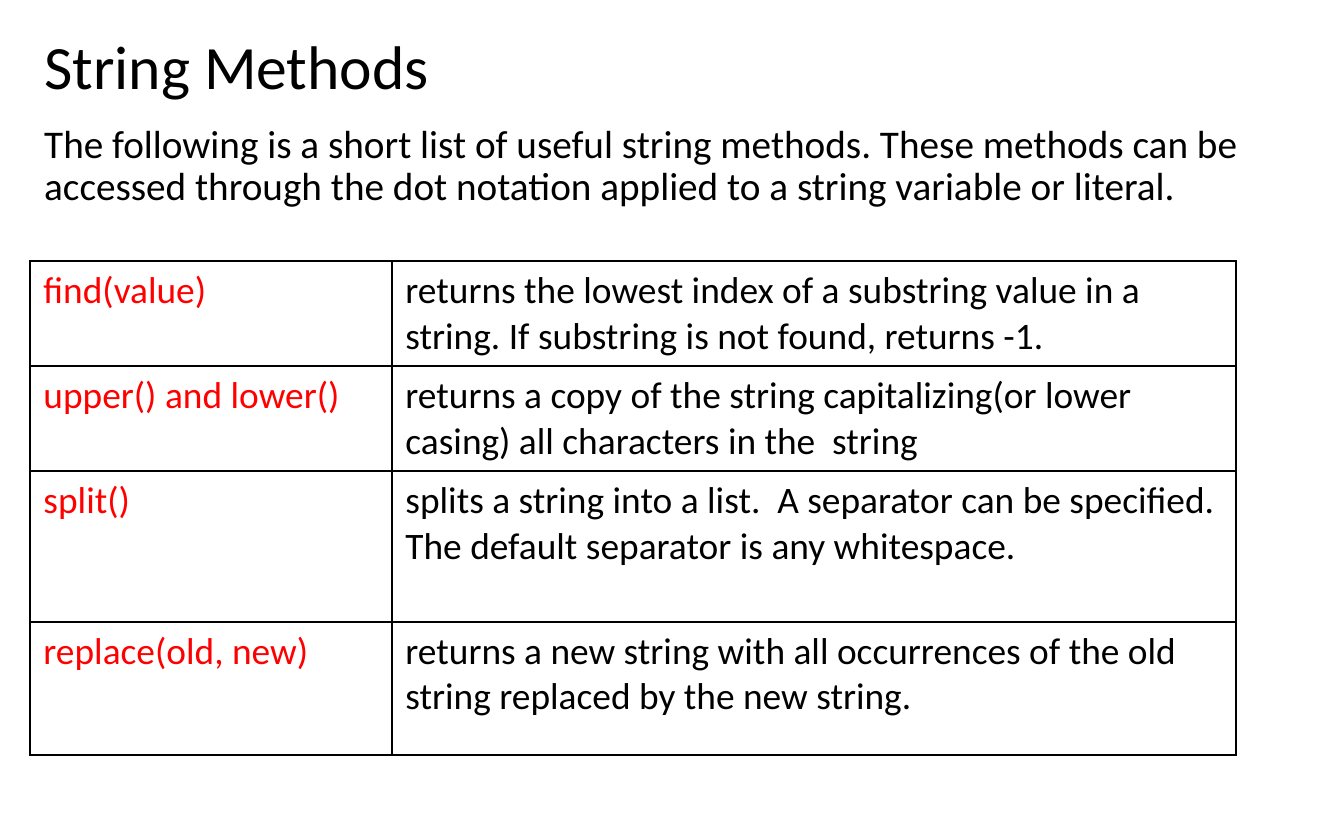
from lxml import etree
from pptx import Presentation
from pptx import util as u
from pptx.dml.color import RGBColor
from pptx.enum import text
from pptx.oxml import ns

PX = 914400 / 134.4
BLACK = RGBColor(0x00, 0x00, 0x00)
RED = RGBColor(0xFF, 0x00, 0x00)
FONT = "Calibri"

METHODS = [
    ("find(value)",
     "returns the lowest index of a substring value in a string. "
     "If substring is not found, returns -1."),
    ("upper() and lower()",
     "returns a copy of the string capitalizing(or lower casing) "
     "all characters in the  string"),
    ("split()",
     "splits a string into a list.  A separator can be specified. "
     "The default separator is any whitespace."),
    ("replace(old, new)",
     "returns a new string with all occurrences of the old string "
     "replaced by the new string."),
]


def px(length):
    return u.Emu(round(length * PX))


class SlideBuilder:
    def __init__(self, deck):
        self.slide = deck.slides.add_slide(deck.slide_layouts[5])

    def set_text(self, frame, content, size, color=BLACK, spacing=1.0):
        frame.text = content
        frame.word_wrap = True
        para = frame.paragraphs[0]
        para.alignment = text.PP_ALIGN.LEFT
        para.line_spacing = spacing
        font = para.runs[0].font
        font.name, font.size = FONT, u.Pt(size)
        font.color.rgb = color

    def title(self, content, left, top, width, height):
        box = self.slide.shapes.title
        box.left, box.top, box.width, box.height = map(px, (left, top, width, height))
        self.set_text(box.text_frame, content, 33, spacing=0.9)
        box.text_frame.auto_size = text.MSO_AUTO_SIZE.NONE
        box.text_frame.vertical_anchor = text.MSO_ANCHOR.MIDDLE

    def paragraph(self, content, left, top, width, height):
        box = self.slide.shapes.add_textbox(*map(px, (left, top, width, height)))
        self.set_text(box.text_frame, content, 21, spacing=0.9)

    def border(self, cell):
        """Draw a thin black line on all four sides of the cell."""
        properties = cell._tc.get_or_add_tcPr()
        for index, side in enumerate(("lnL", "lnR", "lnT", "lnB")):
            line = etree.Element(ns.qn(f"a:{side}"), w=str(u.Pt(1)))
            fill = etree.SubElement(line, ns.qn("a:solidFill"))
            etree.SubElement(fill, ns.qn("a:srgbClr"), val=str(BLACK))
            properties.insert(index, line)

    def table(self, rows, left, top, widths, heights):
        frame = self.slide.shapes.add_table(
            len(rows), len(widths),
            *map(px, (left, top, sum(widths), sum(heights))))
        table = frame.table
        table.first_row = table.horz_banding = False
        for column, width in zip(table.columns, widths):
            column.width = px(width)
        for row, height, contents in zip(table.rows, heights, rows):
            row.height = px(height)
            for cell, content, color in zip(row.cells, contents, (RED, BLACK)):
                self.set_text(cell.text_frame, content, 20, color)
                cell.fill.background()
                self.border(cell)


def main():
    deck = Presentation()
    deck.slide_width, deck.slide_height = px(1344), px(840)
    builder = SlideBuilder(deck)
    builder.title("String Methods", 31, 19, 1036, 101)
    builder.paragraph(
        "The following is a short list of useful string methods. These methods "
        "can be accessed through the dot notation applied to a string variable "
        "or literal.", 31, 118, 1224, 110)
    builder.table(METHODS, 30, 261, (362, 844), (105, 105, 151, 133))
    deck.save("out.pptx")


if __name__ == "__main__":
    main()
